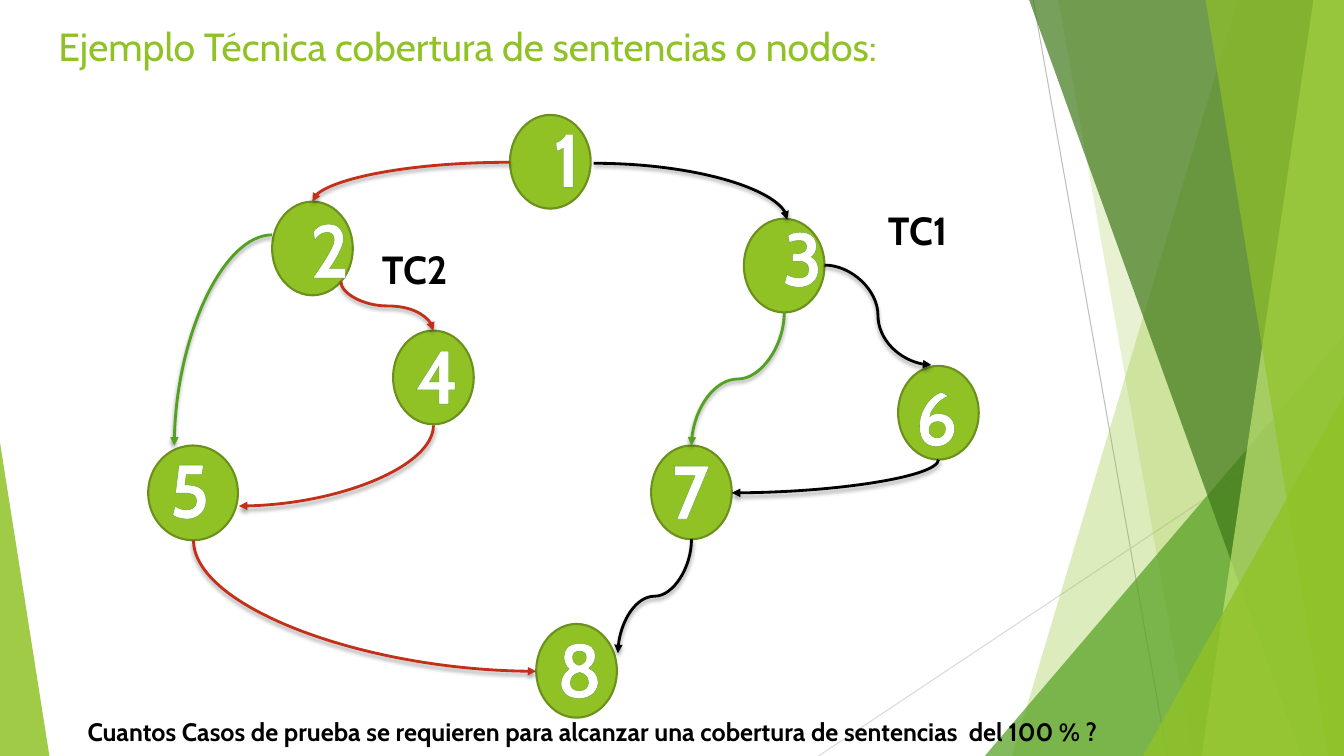
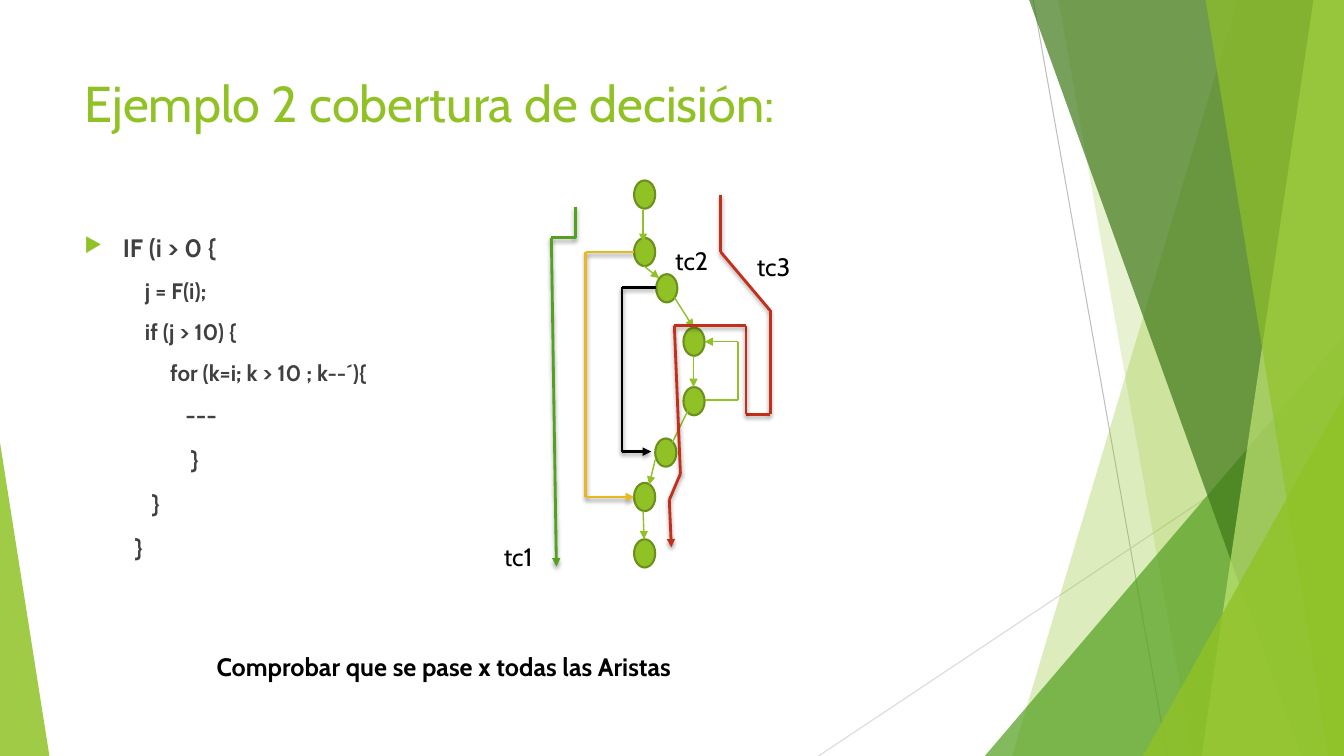
"""Build two slides on statement and decision coverage of a control flow graph."""
from lxml import etree
from pptx import Presentation
from pptx import util as u
from pptx.dml import color
from pptx.enum import shapes, text
from pptx.oxml import ns

CELL = u.Inches(0.1)
COLUMNS, ROWS = 133.33, 75
FONT = "Cabin"
LIME, GREEN, RED, GOLD = "90C226", "54A021", "C42F1A", "E6B91E"
EDGE, BLACK, WHITE, GREY = "6B901C", "000000", "FFFFFF", "404040"
LEFT, CENTER = text.PP_ALIGN.LEFT, text.PP_ALIGN.CENTER
STRAIGHT, CURVE = shapes.MSO_CONNECTOR.STRAIGHT, shapes.MSO_CONNECTOR.CURVE
hue = color.RGBColor.from_string


def cells(*counts):
    return [round(count * CELL) for count in counts]


def connect(page, kind, start, end, tint, width, arrow=False, shadow=False):
    link = page.shapes.add_connector(kind, *cells(*start, *end))
    link.line.color.rgb = hue(tint)
    link.line.width = u.Pt(width)
    properties = link.element.spPr
    if arrow:
        etree.SubElement(properties.get_or_add_ln(), ns.qn("a:tailEnd"), type="triangle")
    effects = etree.SubElement(properties, ns.qn("a:effectLst"))
    if shadow:
        outer = etree.SubElement(effects, ns.qn("a:outerShdw"), blurRad="38100",
                                 dist="25400", dir="5400000", rotWithShape="0")
        black = etree.SubElement(outer, ns.qn("a:srgbClr"), val=BLACK)
        etree.SubElement(black, ns.qn("a:alpha"), val="35000")
    return link


deck = Presentation()
deck.slide_width, deck.slide_height = cells(COLUMNS, ROWS)
first, second = [deck.slides.add_slide(deck.slide_layouts[6]) for _ in range(2)]

panels_and_triangles = [
    (LIME, 30, (122.8, 100.4)),
    (LIME, 20, (105, 118.3)),
    (GREEN, 72, (97.7, 33.3, 35.63, 1)),
    ("3F7819", 70, (102.1, 129.1)),
    ("C0E474", 70, (130.3, 119.2)),
    (LIME, 65, (119.6, 131.8)),
    (LIME, 80, (113.4, 39.3, 19.93, 1)),
    (LIME, 85, (0, 43.9, 4.9, 0)),
]
for page in (first, second):
    connect(page, STRAIGHT, (102.5, 0), (115.8, ROWS), "BFBFBF", 0.75)
    connect(page, STRAIGHT, (COLUMNS, 40.3), (81.2, ROWS), "D9D9D9", 0.75)
    for tint, opacity, outline in panels_and_triangles:
        if len(outline) == 2:
            upper, lower = outline
            builder = page.shapes.build_freeform(*cells(upper, 0))
            corners = [(COLUMNS, 0), (COLUMNS, ROWS), (lower, ROWS)]
            builder.add_line_segments([cells(*corner) for corner in corners])
            facet = builder.convert_to_shape()
        else:
            left, top, width, apex = outline
            facet = page.shapes.add_shape(shapes.MSO_SHAPE.ISOSCELES_TRIANGLE,
                                          *cells(left, top, width, ROWS - top))
            facet.adjustments[0] = apex
        facet.shadow.inherit = False
        facet.fill.solid()
        facet.fill.fore_color.rgb = hue(tint)
        facet.line.fill.background()
        shade = facet.element.spPr.find(f".//{ns.qn('a:srgbClr')}")
        etree.SubElement(shade, ns.qn("a:alpha"), val=str(opacity * 1000))

node_groups = [
    (first, (8, 9.3), [(50.6, 11.4), (73.8, 21.7), (27, 20), (89.1, 36.3),
                       (39, 32.8), (64.6, 44.2), (53.2, 61.9)]),
    (first, (8.9, 9.4), [(14.7, 44.2)]),
    (second, (2.1, 2.8), [(62.9, 17.9), (62.9, 23.6), (65.1, 27.2), (67.8, 32.5),
                          (67.8, 38.4), (65, 43.5), (62.9, 47.9), (62.9, 53.5)]),
]
for page, size, corners in node_groups:
    for corner in corners:
        node = page.shapes.add_shape(shapes.MSO_SHAPE.OVAL, *cells(*corner, *size))
        node.shadow.inherit = False
        node.fill.solid()
        node.fill.fore_color.rgb = hue(LIME)
        node.line.color.rgb = hue(EDGE)
        node.line.width = u.Pt(1.5)

curves = [
    ("curvedConnector2", "down", (19.2, 53.6), (53.2, 66.6), RED),
    ("curvedConnector3", "across", (81.8, 26.3), (92.4, 36.2), BLACK),
    ("curvedConnector2", "across", (50.6, 16.1), (31, 20), RED),
    ("curvedConnector2", "across", (58.9, 16.2), (78.1, 21.8), BLACK),
    ("curvedConnector3", "down", (77.8, 31), (68.6, 44.2), GREEN),
    ("curvedConnector3", "down", (68.6, 53.5), (61.3, 64.8), BLACK),
    ("curvedConnector2", "down", (93.1, 45.6), (72.6, 48.9), BLACK),
    ("curvedConnector2", "across", (27, 23.3), (17.3, 44.2), GREEN),
    ("curvedConnector3", "down", (33.8, 27.9), (43, 32.8), RED),
    ("curvedConnector2", "down", (43, 42.2), (23.7, 50.2), RED),
]
for preset, heading, start, end, tint in curves:
    rightward = end[0] > start[0]
    if heading == "down":
        middle = [(a + b) / 2 for a, b in zip(start, end)]
        reach = [(end[1] - start[1]) / 2, abs(end[0] - start[0]) / 2]
        start = [m - r for m, r in zip(middle, reach)]
        end = [m + r for m, r in zip(middle, reach)]
    link = connect(first, CURVE, start, end, tint, 2, True, True)
    link.element.spPr.find(ns.qn("a:prstGeom")).set("prst", preset)
    if heading == "down":
        frame = link.element.spPr.find(ns.qn("a:xfrm"))
        frame.set("rot", str((270 if rightward else 90) * 60000))
        if rightward:
            frame.set("flipH", "1")

routes = [
    (LIME, 1, True, [(63.8, 20.8), (63.8, 24)]),
    (LIME, 1, True, [(63.9, 26.4), (65.4, 27.6)]),
    (LIME, 1, True, [(66.9, 29.5), (68.8, 32.5)]),
    (LIME, 1, True, [(69.9, 39.7), (73.2, 39.7), (73.2, 33.9), (69.9, 33.9)]),
    (BLACK, 2, True, [(65.1, 28.5), (61.7, 28.5), (61.7, 44.8), (64.6, 44.8)]),
    (GOLD, 2, True, [(62.9, 25), (58.1, 25), (58.1, 49.3), (62.9, 49.3)]),
    (LIME, 1, True, [(63.8, 50.7), (63.9, 53.5)]),
    (LIME, 1, False, [(68.6, 40), (66.7, 43.9)]),
    (GREEN, 2, True, [(57.1, 20.5), (57.1, 23.6), (54.7, 23.6), (55.2, 56.2)]),
    (RED, 2, True, [(71.5, 19.3), (71.5, 25), (76.4, 30.8), (76.4, 41.1), (74, 41.1),
                    (74, 32.3), (66.9, 32.3), (67.5, 47), (66.4, 49.6), (66.6, 54.3)]),
    (LIME, 1, True, [(68.8, 35.3), (68.8, 38.4)]),
    (LIME, 1, True, [(65, 45.6), (64.4, 48.1)]),
]
for tint, width, arrow, stops in routes:
    for start, end in zip(stops, stops[1:]):
        connect(second, STRAIGHT, start, end, tint, width,
                arrow and end == stops[-1], width == 2)

digits = [("1", 56.2, 10.6), ("3", 79.6, 20.4), ("2", 32.7, 19.6), ("4", 43.4, 32.1),
          ("5", 18.8, 43.4), ("6", 92.9, 36.2), ("7", 68.5, 43.5), ("8", 57.5, 61.2)]
code = ["IF (i > 0 {", "  j = F(i);", "  if (j > 10) {", "       for (k=i; k > 10 ; k--´){",
        "\t---", "  \t }", "   }", "}"]
writings = [(first, (middle - 3, top, 6, 10.1), digit, 54, WHITE, True, CENTER)
            for digit, middle, top in digits]
writings += [
    (first, (4.8, 1.7, 100.2, 6.3), "Ejemplo Técnica cobertura de sentencias o nodos:",
     28, LIME, False, LEFT),
    (first, (87.1, 20, 9.1, 5.7), "TC1", 28, BLACK, True, LEFT),
    (first, (36.9, 23.8, 9.1, 5.7), "TC2", 28, BLACK, True, LEFT),
    (first, (7.7, 70.6, 121.7, 4), "Cuantos Casos de prueba se requieren para alcanzar una "
     "cobertura de sentencias  del 100 % ?", 18, BLACK, True, LEFT),
    (second, (7.4, 6.7, 94, 8.1), "Ejemplo 2 cobertura de decisión:", 36, LIME, False, LEFT),
    (second, (20.5, 64.1, 52.8, 4), "Comprobar que se pase x todas las Aristas",
     18, BLACK, True, LEFT),
    (second, (49, 53.2, 5.6, 4), "tc1", 18, BLACK, False, LEFT),
    (second, (66, 23.8, 5.6, 4), "tc2", 18, BLACK, False, LEFT),
    (second, (74.1, 24.4, 5.6, 4), "tc3", 18, BLACK, False, LEFT),
    (second, (7.4, 22.6, 94, 42.4), "\n".join(code), 18, GREY, True, LEFT),
]
for page, area, words, size, tint, bold, alignment in writings:
    box = page.shapes.add_textbox(*cells(*area))
    box.text_frame.word_wrap = True
    box.text_frame.text = words
    for para in box.text_frame.paragraphs:
        para.alignment = alignment
        for span in para.runs:
            span.font.name = FONT
            span.font.size = u.Pt(size)
            span.font.bold = bold
            span.font.color.rgb = hue(tint)
    if alignment == CENTER:
        box.text_frame.margin_left = box.text_frame.margin_right = 0
        outline = etree.Element(ns.qn("a:ln"), w=str(u.Pt(0.52)))
        solid = etree.SubElement(outline, ns.qn("a:solidFill"))
        etree.SubElement(solid, ns.qn("a:srgbClr"), val=GREEN)
        next(box.element.iter(ns.qn("a:rPr"))).insert(0, outline)

listing = box.text_frame.paragraphs
for row, layout in enumerate(box.element.iter(ns.qn("a:pPr"))):
    layout.set("marL", str(u.Inches(0.5 if row else 0.38)))
    layout.set("indent", str(u.Inches(0 if row else -0.38)))
    if row:
        listing[row].space_before = u.Pt(10)
    else:
        tone = etree.SubElement(layout, ns.qn("a:buClr"))
        etree.SubElement(tone, ns.qn("a:srgbClr"), val=LIME)
        etree.SubElement(layout, ns.qn("a:buSzPct"), val="80000")
        etree.SubElement(layout, ns.qn("a:buChar"), char="▶")
for para in listing[1:4]:
    para.runs[0].font.size = u.Pt(16)

deck.save("out.pptx")
